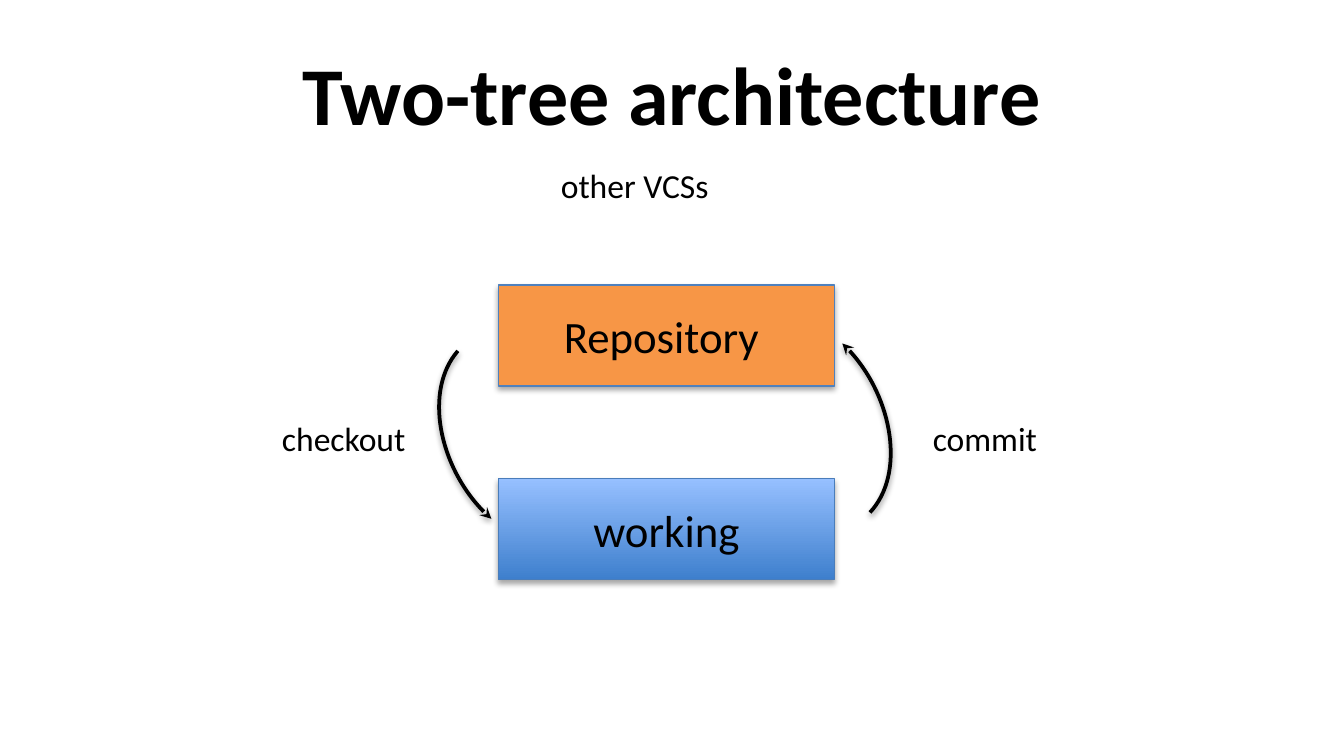
"""Build the two-tree architecture slide."""
from dataclasses import dataclass
from typing import Any

from lxml import etree
from pptx import Presentation
from pptx.dml.color import RGBColor
from pptx.enum import shapes, text
from pptx.oxml import ns
from pptx.util import Cm, Pt

BLACK = RGBColor(0x00, 0x00, 0x00)
ORANGE = RGBColor(0xF7, 0x96, 0x46)
ORANGE_BORDER = RGBColor(0x4F, 0x81, 0xBD)
BLUE_DARK = RGBColor(0x3E, 0x7F, 0xCD)
BLUE_LIGHT = RGBColor(0x96, 0xC0, 0xFF)
BLUE_BORDER = RGBColor(0x4A, 0x7D, 0xBA)

TREE_LEFT, TREE_WIDTH, TREE_HEIGHT = 9.42, 6.35, 1.91
ARROW_WIDTH, ARROW_HEIGHT = 1.98, 2.56
LABEL_HEIGHT = 0.76


@dataclass
class Tree:
    name: str
    top: float
    fill: tuple[RGBColor, ...]
    border: RGBColor


@dataclass
class Arrow:
    left: float
    top: float
    angle: int


@dataclass
class Label:
    words: str
    left: float
    top: float
    width: float


TREES = [
    Tree("Repository ", 5.39, (ORANGE,), ORANGE_BORDER),
    Tree("working", 9.05, (BLUE_DARK, BLUE_LIGHT), BLUE_BORDER),
]
ARROWS = [Arrow(7.98, 6.94, 311), Arrow(15.19, 6.81, 133)]
LABELS = [
    Label("other VCSs", 10.35, 3.0, 4.35),
    Label("checkout", 5.08, 7.77, 2.9),
    Label("commit", 17.38, 7.77, 2.52),
]


def write(tf: Any, words: str, size: int, align: Any, bold: bool = False) -> None:
    """Put one formatted paragraph in a text frame."""
    tf.word_wrap = True
    p = tf.paragraphs[0]
    p.alignment = align
    r = p.add_run()
    r.text = words
    style = {"name": "Calibri", "size": Pt(size), "bold": bold}
    for key, value in style.items():
        setattr(r.font, key, value)
    r.font.color.rgb = BLACK


def add_shadow(sp_pr: Any, dist: float, alpha: int) -> None:
    """Append a soft shadow that falls straight down."""
    effects = etree.SubElement(sp_pr, ns.qn("a:effectLst"))
    shadow = etree.SubElement(
        effects, ns.qn("a:outerShdw"), blurRad=str(Pt(3.15)),
        dist=str(Pt(dist)), dir="5400000", rotWithShape="0")
    color = etree.SubElement(shadow, ns.qn("a:srgbClr"), val="000000")
    etree.SubElement(color, ns.qn("a:alpha"), val=str(alpha * 1000))


def add_tree(s: Any, tree: Tree) -> None:
    """Draw one tree box with a solid or gradient fill."""
    sp = s.shapes.add_shape(
        shapes.MSO_SHAPE.RECTANGLE, Cm(TREE_LEFT), Cm(tree.top),
        Cm(TREE_WIDTH), Cm(TREE_HEIGHT))
    if len(tree.fill) == 1:
        sp.fill.solid()
        sp.fill.fore_color.rgb = tree.fill[0]
    else:
        sp.fill.gradient()
        sp.fill.gradient_angle = 90
        for stop, color in zip(sp.fill.gradient_stops, tree.fill):
            stop.color.rgb = color
    sp.line.color.rgb = tree.border
    sp.line.width = Pt(0.75)
    add_shadow(sp.element.spPr, 1.8, 35)
    sp.text_frame.vertical_anchor = text.MSO_ANCHOR.MIDDLE
    write(sp.text_frame, tree.name, 24, text.PP_ALIGN.CENTER)


def add_arrow(s: Any, arrow: Arrow) -> None:
    """Draw one turned quarter-curve arrow."""
    cx = s.shapes.add_connector(
        shapes.MSO_CONNECTOR.CURVE, Cm(arrow.left + ARROW_WIDTH), Cm(arrow.top),
        Cm(arrow.left), Cm(arrow.top + ARROW_HEIGHT))
    cx.line.color.rgb = BLACK
    cx.line.width = Pt(2)
    sp_pr = cx.element.spPr
    sp_pr.find(ns.qn("a:prstGeom")).set("prst", "curvedConnector2")
    sp_pr.find(ns.qn("a:xfrm")).set("rot", str(arrow.angle * 60000))
    etree.SubElement(sp_pr.find(ns.qn("a:ln")), ns.qn("a:tailEnd"), type="stealth")
    add_shadow(sp_pr, 1.6, 38)


def add_label(s: Any, label: Label) -> None:
    """Place one plain text label."""
    sp = s.shapes.add_textbox(
        Cm(label.left), Cm(label.top), Cm(label.width), Cm(LABEL_HEIGHT))
    write(sp.text_frame, label.words, 18, text.PP_ALIGN.LEFT)


def main() -> None:
    """Assemble and save the slide."""
    prs = Presentation()
    prs.slide_width, prs.slide_height = Cm(25.4), Cm(14.29)
    s = prs.slides.add_slide(prs.slide_layouts[5])
    title = s.shapes.title
    place = {"left": 1.27, "top": 0.56, "width": 22.86, "height": 2.39}
    for key, value in place.items():
        setattr(title, key, Cm(value))
    write(title.text_frame, "Two-tree architecture", 44, text.PP_ALIGN.CENTER, True)
    for tree in TREES:
        add_tree(s, tree)
    for arrow in ARROWS:
        add_arrow(s, arrow)
    for label in LABELS:
        add_label(s, label)
    prs.save("out.pptx")


if __name__ == "__main__":
    main()
